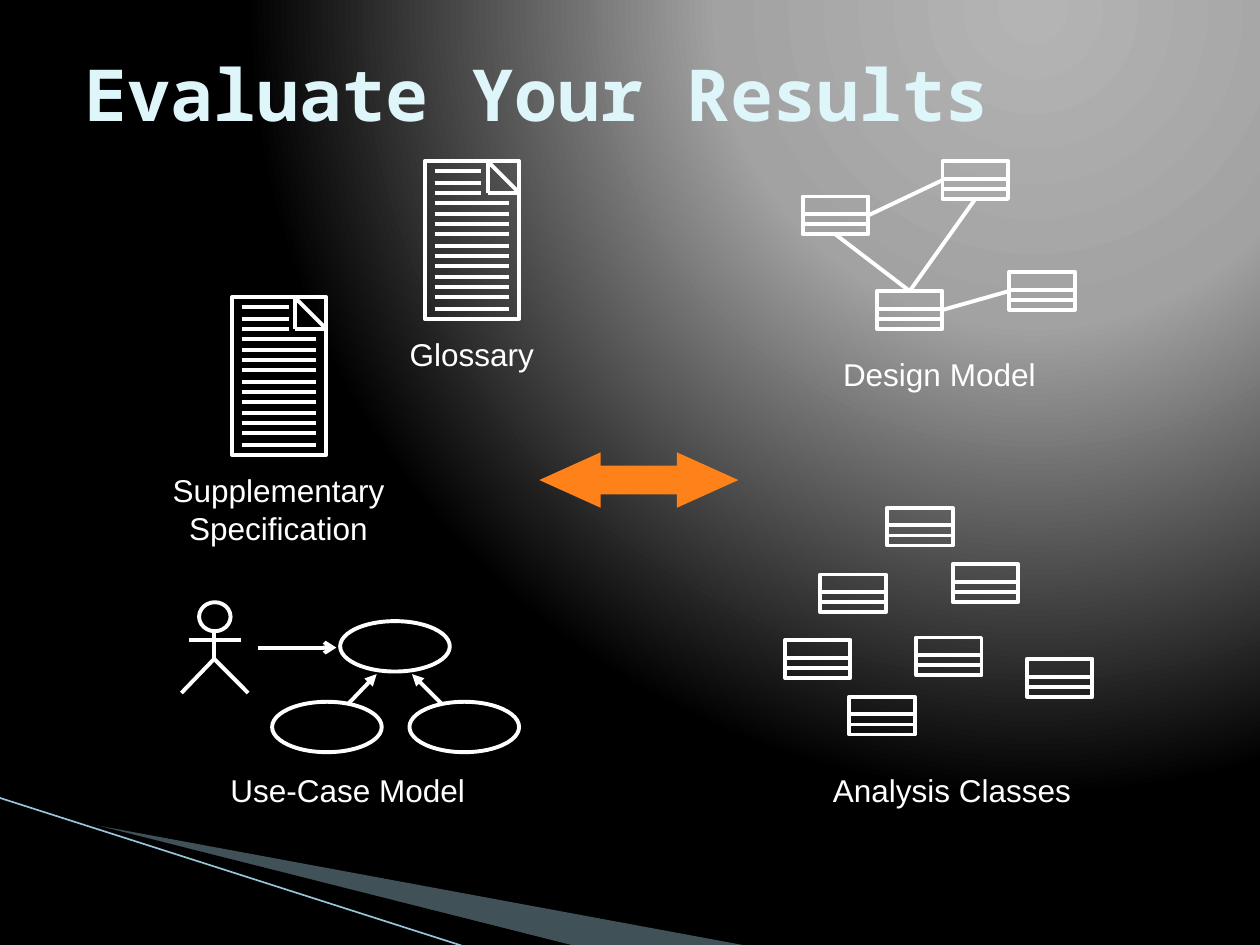
"""Build the "Evaluate Your Results" slide."""
from pptx import Presentation
from pptx import util as u
from pptx.dml.color import RGBColor
from pptx.enum import shapes, text
from pptx.oxml import parse_xml
from pptx.oxml.ns import nsdecls, qn

PX = 9144
WHITE = "FFFFFF"
rgb = RGBColor.from_string
KIND = shapes.MSO_SHAPE


def write(tf, content, sz=18, f="Arial", c=WHITE, b=False, al="CENTER", anchor="TOP"):
    tf.text = content
    tf.vertical_anchor = getattr(text.MSO_ANCHOR, anchor)
    for p in tf.paragraphs:
        p.alignment = getattr(text.PP_ALIGN, al)
        for r in p.runs:
            r.font.size, r.font.name, r.font.bold = u.Pt(sz), f, b
            r.font.color.rgb = rgb(c)


def line(x1, y1, x2, y2, c=WHITE, w=2.25, tail=None):
    cn = s.shapes.add_connector(shapes.MSO_CONNECTOR.STRAIGHT,
                                x1 * PX, y1 * PX, x2 * PX, y2 * PX)
    cn.line.color.rgb = rgb(c)
    cn.line.width = u.Pt(w)
    if tail:
        cn.line._get_or_add_ln().append(
            parse_xml(f'<a:tailEnd {nsdecls("a")} type="{tail}"/>'))
    cn._element.spPr.append(parse_xml(f'<a:effectLst {nsdecls("a")}/>'))
    return cn


prs = Presentation()
prs.slide_width, prs.slide_height = 1000 * PX, 750 * PX
s = prs.slides.add_slide(prs.slide_layouts[5])

s.background.fill.solid()
bg = s.element.find(".//" + qn("p:bgPr"))
stops = "".join(f'<a:gs pos="{pos}000"><a:srgbClr val="{c}"/></a:gs>'
                for pos, c in [(0, "B4B4B4"), (40, "A2A2A2"), (100, "000000")])
bg.replace(bg[0], parse_xml(
    f'<a:gradFill {nsdecls("a")} rotWithShape="1"><a:gsLst>{stops}</a:gsLst>'
    '<a:path path="circle"><a:fillToRect l="65000" t="0" r="0" b="98000"/></a:path>'
    '</a:gradFill>'))

wedges = [
    ([(55, 651), (595, 751), (456, 751), (55, 650)], "A0CBDC", 40),
    ([(53, 649), (457, 751), (372, 752), (54, 650)], "000000", 100),
]
for points, c, alpha in wedges:
    fb = s.shapes.build_freeform(*points[0], scale=PX)
    fb.add_line_segments(points[1:], close=True)
    sp = fb.convert_to_shape()
    sp.shadow.inherit = False
    sp.fill.solid()
    sp.fill.fore_color.rgb = rgb(c)
    sp.line.fill.background()
    if alpha < 100:
        sp._element.spPr.find(".//" + qn("a:srgbClr")).append(
            parse_xml(f'<a:alpha {nsdecls("a")} val="{alpha}000"/>'))
line(-1, 633, 371, 752, c="97C5D8", w=0.95)

sp = s.shapes.title
sp.left, sp.top, sp.width, sp.height = 57 * PX, 11 * PX, 900 * PX, 125 * PX
sp.text_frame.word_wrap = True
sp.text_frame.auto_size = text.MSO_AUTO_SIZE.NONE
write(sp.text_frame, "Evaluate Your Results", sz=41, f="Noto Sans Mono",
      c="DEF5FA", b=True, al="LEFT", anchor="MIDDLE")

sp = s.shapes.add_shape(KIND.LEFT_RIGHT_ARROW, 428 * PX, 359 * PX, 158 * PX, 44 * PX)
sp.adjustments[0], sp.adjustments[1] = 0.521, 1.108
sp.shadow.inherit = False
sp.fill.solid()
sp.fill.fore_color.rgb = rgb("FF8119")
sp.line.fill.background()

design = [(637, 156), (748, 128), (696, 231), (801, 216)]
analysis = [(651, 456), (756, 448), (704, 403), (815, 523),
            (623, 508), (674, 553), (727, 506)]
documents = [(184, 236), (337, 128)]
use_cases = [(270, 493), (216, 557), (325, 557)]

outlines = [(KIND.RECTANGLE, x, y, 52, 30) for x, y in design + analysis]
outlines += [(KIND.RECTANGLE, x, y, 75, 125) for x, y in documents]
outlines += [(KIND.OVAL, x, y, 87, 40) for x, y in use_cases]
outlines.append((KIND.OVAL, 158, 478, 25, 23))
drawn = [s.shapes.add_shape(kind, x * PX, y * PX, w * PX, h * PX)
         for kind, x, y, w, h in outlines]
fb = s.shapes.build_freeform(144, 550, scale=PX)
fb.add_line_segments([(170, 523), (197, 550)], close=False)
drawn.append(fb.convert_to_shape())
for sp in drawn:
    sp.shadow.inherit = False
    sp.fill.background()
    sp.line.color.rgb = rgb(WHITE)
    sp.line.width = u.Pt(2.25)

for x, y in design + analysis:
    for dy in (14, 22):
        line(x, y + dy, x + 52, y + dy)

for start, side, end, end_side in [(2, 0, 0, 2), (0, 3, 1, 1), (2, 3, 3, 1), (2, 0, 1, 2)]:
    cn = line(0, 0, 0, 0)
    cn.begin_connect(drawn[start], side)
    cn.end_connect(drawn[end], end_side)

for x, y in documents:
    line(x + 50, y, x + 75, y + 25)
    line(x + 50, y, x + 50, y + 25)
    line(x + 75, y + 25, x + 50, y + 25)
    for row in range(1, 15):
        dy = round(row * 25 / 3)
        line(x + 8, y + dy, x + (45 if row <= 3 else 67), y + dy)

line(170, 502, 170, 523)
line(150, 508, 191, 508)
line(205, 514, 267, 514, tail="arrow")
line(276, 559, 299, 535, tail="triangle")
line(351, 559, 327, 535, tail="triangle")

labels = [
    ("Design Model", 659, 277, 173, 40),
    ("Analysis Classes", 651, 607, 209, 40),
    ("Supplementary\nSpecification", 127, 369, 188, 70),
    ("Glossary", 315, 261, 119, 40),
    ("Use-Case Model", 173, 607, 206, 40),
]
for label, x, y, w, h in labels:
    tf = s.shapes.add_textbox(x * PX, y * PX, w * PX, h * PX).text_frame
    tf.word_wrap = False
    tf.auto_size = text.MSO_AUTO_SIZE.SHAPE_TO_FIT_TEXT
    write(tf, label)

prs.save("out.pptx")
